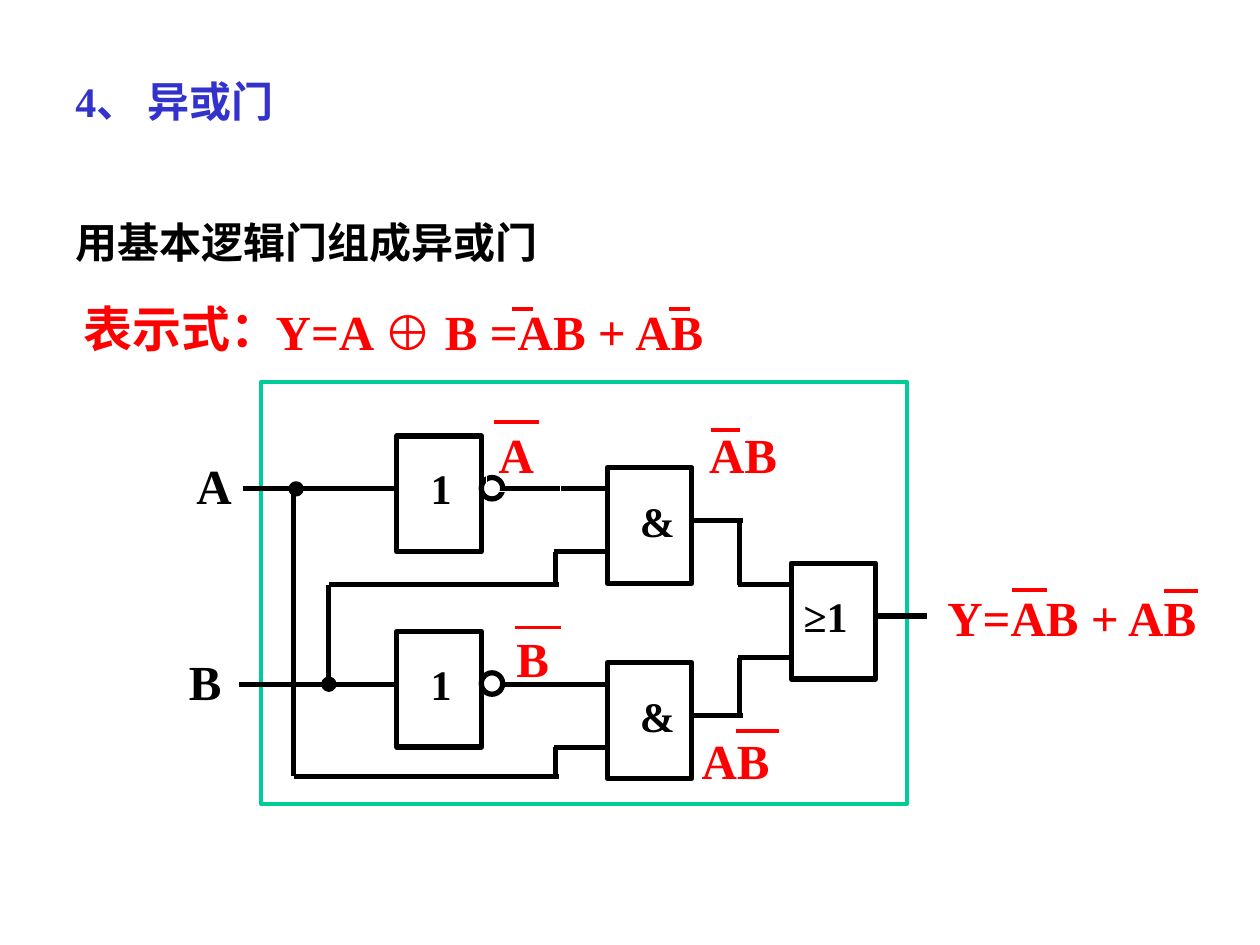
from pptx import Presentation
from pptx.util import Inches, Pt
from pptx.dml.color import RGBColor
from pptx.enum.shapes import MSO_CONNECTOR, MSO_SHAPE
from pptx.enum.text import MSO_ANCHOR, PP_ALIGN
from pptx.oxml.ns import qn
from lxml import etree

BLACK, WHITE, RED, BLUE, GREEN = "000000", "FFFFFF", "FF0000", "3333CC", "00CC99"
color = RGBColor.from_string

deck = Presentation()
deck.slide_width, deck.slide_height = Inches(10), Inches(7.5)
page = deck.slides.add_slide(deck.slide_layouts[6])


def add_line(x1, y1, x2, y2, ink, width):
    line = page.shapes.add_connector(
        MSO_CONNECTOR.STRAIGHT, Inches(x1), Inches(y1), Inches(x2), Inches(y2))
    line.line.color.rgb = color(ink)
    line.line.width = Pt(width)
    etree.SubElement(line._element.spPr, qn("a:effectLst"))


def add_text(words, left, top, width, height, size, ink, wrap=True, before=3):
    box = page.shapes.add_textbox(
        Inches(left), Inches(top), Inches(width), Inches(height))
    box.text_frame.word_wrap = wrap
    para = box.text_frame.paragraphs[0]
    para.space_before = Pt(before)
    span = para.add_run()
    span.text = words
    span.font.name = "Times New Roman"
    span.font.size = Pt(size)
    span.font.bold = True
    span.font.color.rgb = color(ink)
    # East Asian characters take their own font
    east_asian = etree.SubElement(span.font._element, qn("a:ea"))
    east_asian.set("typeface", "Noto Sans CJK SC")
    return box


# Circuit frame, gates, inverter bubbles and junction dots
RECT, OVAL = MSO_SHAPE.RECTANGLE, MSO_SHAPE.OVAL
frame = [(RECT, 2.07, 3.03, 5.13, 3.35, WHITE, GREEN, 2.25)]
gates = [(RECT, left, top, 0.67, 0.92, WHITE, BLACK, 3) for left, top in
         [(3.15, 3.46), (3.15, 5.01), (4.82, 3.71), (4.82, 5.26), (6.28, 4.47)]]
bubbles = [(OVAL, 3.82, top, 0.17, 0.17, WHITE, BLACK, 3) for top in (3.79, 5.34)]
dots = [(OVAL, left, top, 0.08, 0.08, BLACK, BLACK, 3)
        for left, top in [(2.31, 3.84), (2.57, 5.39)]]
for kind, left, top, width, height, fill, ink, weight in frame + gates + bubbles + dots:
    shape = page.shapes.add_shape(
        kind, Inches(left), Inches(top), Inches(width), Inches(height))
    shape.shadow.inherit = False
    shape.fill.solid()
    shape.fill.fore_color.rgb = color(fill)
    shape.line.color.rgb = color(ink)
    shape.line.width = Pt(weight)

# Wires
wires = [
    (1.93, 3.88, 3.15, 3.88), (1.9, 5.43, 3.15, 5.43),    # inputs A and B
    (3.99, 3.88, 4.82, 3.88), (3.99, 5.43, 4.82, 5.43),   # inverter outputs
    (2.61, 5.43, 2.61, 4.64), (2.61, 4.64, 4.44, 4.64),   # B to the upper AND
    (4.41, 4.64, 4.41, 4.38), (4.4, 4.38, 4.82, 4.38),
    (2.33, 3.88, 2.33, 6.16), (2.33, 6.16, 4.44, 6.16),   # A to the lower AND
    (4.41, 6.16, 4.41, 5.93), (4.4, 5.93, 4.82, 5.93),
    (5.48, 4.13, 5.9, 4.13), (5.87, 4.13, 5.87, 4.64),    # upper AND to OR
    (5.86, 4.64, 6.28, 4.64),
    (5.48, 5.68, 5.9, 5.68), (5.87, 5.68, 5.87, 5.22),    # lower AND to OR
    (5.86, 5.22, 6.28, 5.22),
    (6.95, 4.89, 7.36, 4.89),                             # output Y
]
for wire in wires:
    add_line(*wire, BLACK, 3)

# Gate symbols and input names
for words, left, top, width in [("1", 3.32, 3.62, 0.33), ("1", 3.32, 5.18, 0.33),
                                ("&", 4.98, 3.88, 0.67), ("&", 4.98, 5.43, 0.67),
                                ("≥1", 6.28, 4.64, 0.92)]:
    add_text(words, left, top, width, 0.5, 24, BLACK)
add_text("A", 1.46, 3.57, 0.59, 0.57, 28, BLACK)
add_text("B", 1.4, 5.12, 0.62, 0.57, 28, BLACK)

# Expressions in thin white borders
for words, left, top, width in [("Y=A ⊕ B =AB + AB", 2.09, 2.34, 4.06),
                                ("A", 3.86, 3.32, 0.59),
                                ("Y=AB + AB", 7.42, 4.61, 2.28)]:
    box = add_text(words, left, top, width, 0.58, 28, RED)
    box.line.color.rgb = color(WHITE)
    box.line.width = Pt(0.75)

# Signal labels
for words, left, top, width in [("B", 4, 4.94, 0.62), ("AB", 5.53, 3.32, 1.07),
                                ("AB", 5.47, 5.75, 0.76)]:
    add_text(words, left, top, width, 0.57, 28, RED)

# Negation bars
for left, right, y in [(4.06, 4.23, 2.45), (5.31, 5.48, 2.45), (3.92, 4.28, 3.35),
                       (4.09, 4.45, 4.98), (5.64, 5.87, 3.41), (5.84, 6.18, 5.8),
                       (8.03, 8.31, 4.68), (9.24, 9.51, 4.69)]:
    add_line(left, y, right, y, RED, 2.25)

# Headings
add_text("4、 异或门", 0.5, 0.55, 2.42, 0.5, 24, BLUE)
add_text("用基本逻辑门组成异或门", 0.5, 1.67, 3.89, 0.5, 24, BLACK, wrap=False, before=0)
label = add_text("表示式：", 0.56, 2.32, 1.76, 0.57, 28, RED, wrap=False)
label.text_frame.vertical_anchor = MSO_ANCHOR.MIDDLE
label.text_frame.paragraphs[0].alignment = PP_ALIGN.CENTER

deck.save("out.pptx")
